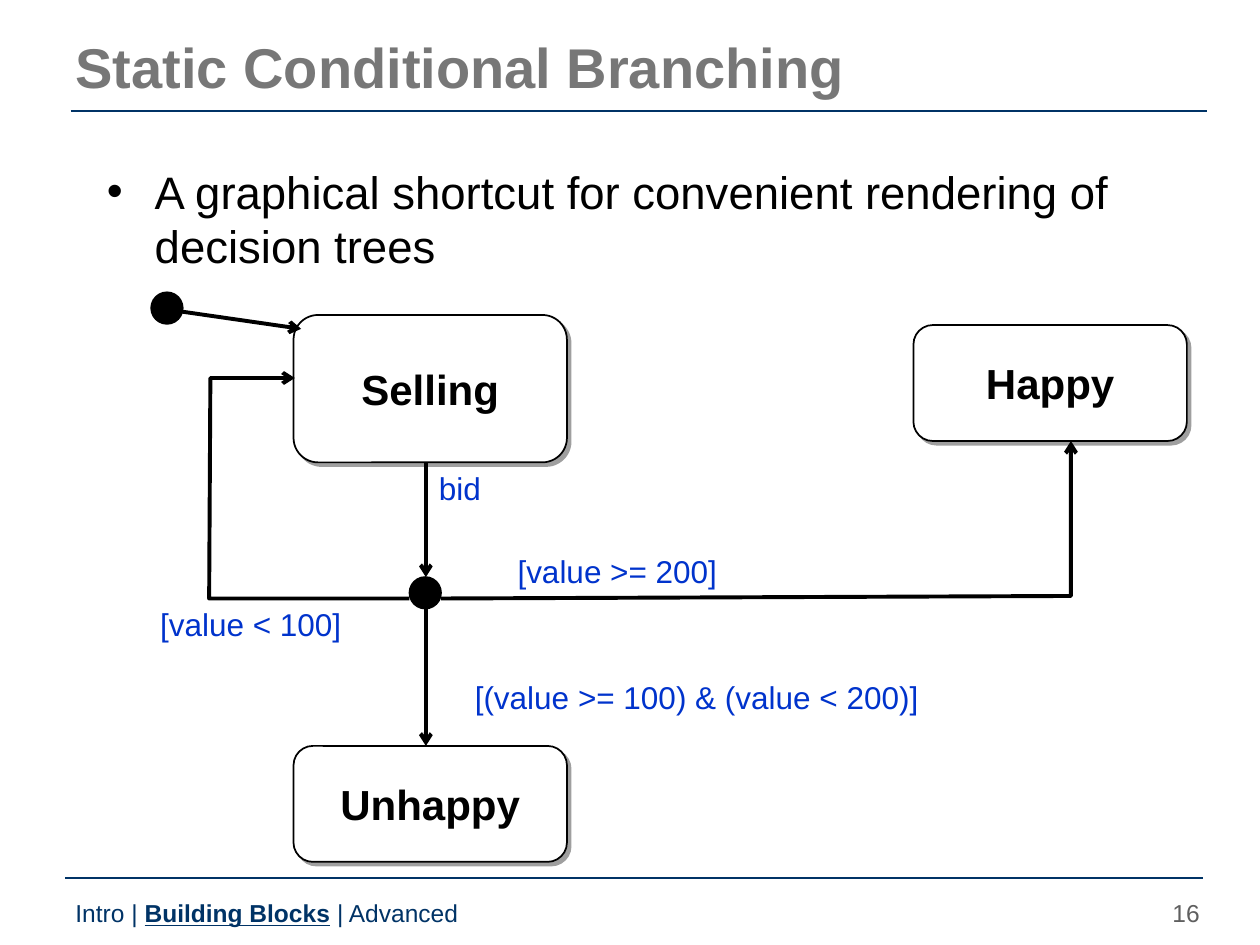
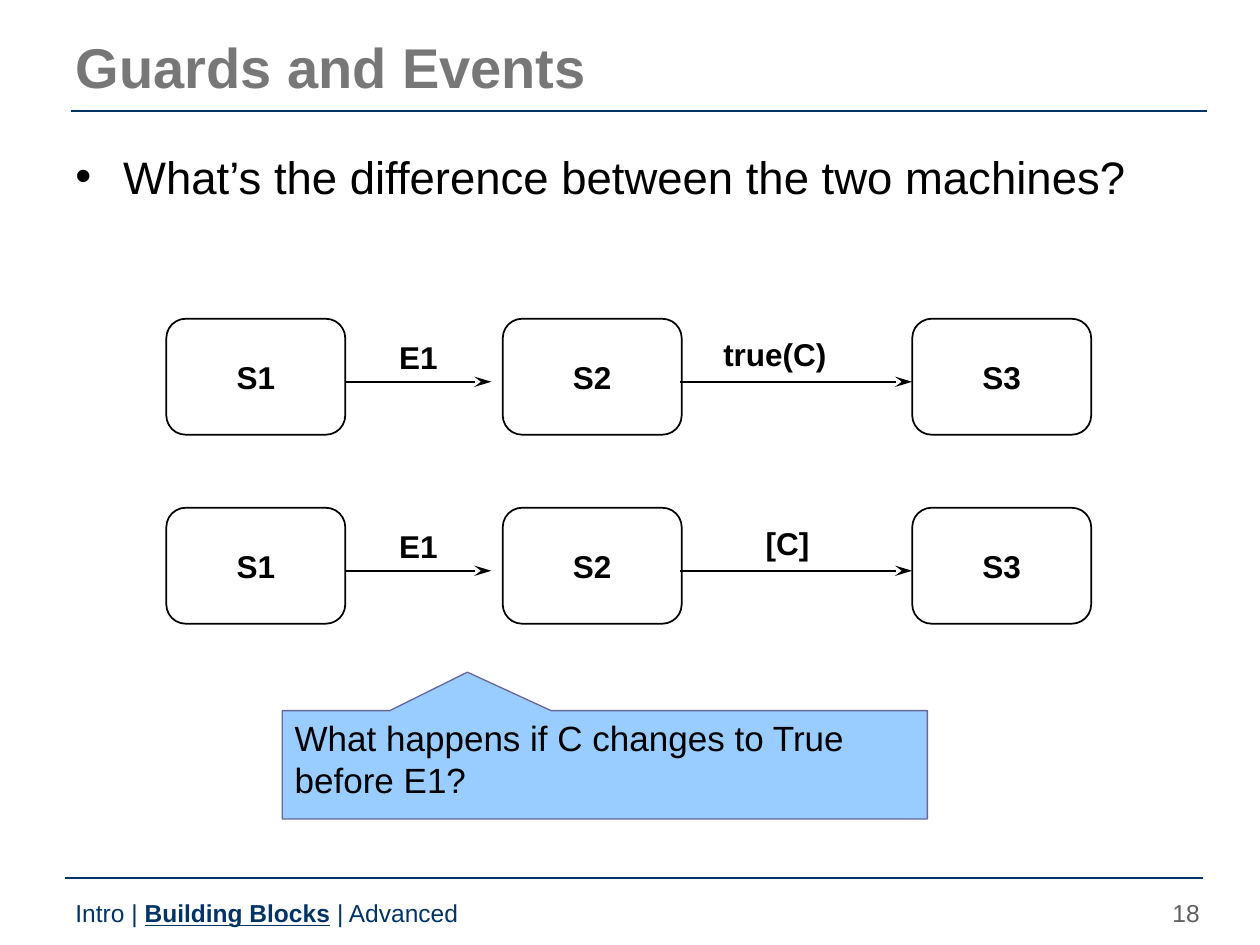
from lxml.etree import SubElement
from pptx import Presentation
from pptx.dml.color import RGBColor
from pptx.enum.shapes import MSO_CONNECTOR, MSO_SHAPE
from pptx.enum.text import MSO_ANCHOR, PP_ALIGN
from pptx.oxml.ns import qn
from pptx.util import Inches, Pt

FONT = "Arial"
COLORS = {
    "title": "777777", "navy": "003366", "number": "5F5F5F", "black": "000000",
    "white": "FFFFFF", "guard": "0033CC", "shadow": "808080",
    "callout": "99CCFF", "callout_line": "666699",
}
ARROWHEADS = {
    "open": {"type": "arrow"},
    "stealth": {"type": "stealth", "w": "med", "len": "lg"},
}

RULES = [((0.56, 0.88), (9.58, 0.88)), ((0.52, 6.97), (9.55, 6.97))]
FOOTER = [("Intro | ", False), ("Building Blocks", True), (" | Advanced", False)]

BRANCHING = {
    "title": "Static Conditional Branching",
    "number": "16",
    "bullet": "A graphical shortcut for convenient rendering of decision trees",
    "bullet_box": (0.75, 1.25, 8.5, 1.1),
    "states": [
        ("Selling", (2.33, 2.5, 2.17, 1.17)),
        ("Unhappy", (2.33, 5.92, 2.17, 0.92)),
        ("Happy", (7.25, 2.58, 2.17, 0.92)),
    ],
    "dots": [(1.2, 2.32), (3.25, 4.58)],
    "arrows": [
        ((1.42, 2.47), (2.39, 2.61)),
        ((3.38, 3.67), (3.38, 4.58)),
        ((3.38, 4.83), (3.38, 5.92)),
    ],
    "bent_arrows": [
        [(3.25, 4.75), (1.66, 4.75), (1.67, 3), (2.34, 3)],
        [(3.5, 4.75), (8.5, 4.73), (8.5, 3.5)],
    ],
    # text, horizontal centre, top, width
    "guards": [
        ("bid", 3.65, 3.67, 0.6),
        ("[value >= 200]", 4.9, 4.33, 1.8),
        ("[value < 100]", 1.99, 4.75, 1.7),
        ("[(value >= 100) & (value < 200)]", 5.53, 5.33, 3.8),
    ],
}

MACHINES = {
    "title": "Guards and Events",
    "number": "18",
    "bullet": "What’s the difference between the two machines?",
    "bullet_box": (0.5, 1.13, 9, 1),
    "states": [("S1", 1.32), ("S2", 3.99), ("S3", 7.24)],
    "state_size": (1.42, 0.92),
    "transitions": [(2.74, 3.9), (5.4, 7.24)],
    # machine top, then (label, horizontal centre, offset from the top, width)
    "rows": [
        (2.53, [("E1", 3.32, 0.1, 0.6), ("true(C)", 6.15, 0.08, 1.1)]),
        (4.03, [("E1", 3.32, 0.1, 0.6), ("[C]", 6.25, 0.08, 0.6)]),
    ],
    "callout": "What happens if C changes to True before E1?",
    "callout_box": (2.24, 5.64, 5.12, 0.86),
    "callout_tip": (-0.213, -0.855),
}


def color(name):
    return RGBColor.from_string(COLORS[name])


def inches(values):
    return [Inches(value) for value in values]


def add_run(paragraph, text, size, color_name, bold=False, underline=False):
    run = paragraph.add_run()
    run.text = text
    font = run.font
    font.name, font.size, font.bold, font.underline = FONT, Pt(size), bold, underline
    font.color.rgb = color(color_name)


def set_line(line, color_name, width, arrowhead=None):
    line.color.rgb = color(color_name)
    line.width = Pt(width)
    if arrowhead:
        SubElement(line._get_or_add_ln(), qn("a:tailEnd"), ARROWHEADS[arrowhead])


def add_text_box(shapes, box, align=PP_ALIGN.LEFT, wrap=True):
    """Add an empty text box and return its first paragraph."""
    frame = shapes.add_textbox(*inches(box)).text_frame
    frame.word_wrap = wrap
    frame.paragraphs[0].alignment = align
    return frame.paragraphs[0]


def add_label(shapes, text, center, top, width, color_name, bold=False):
    paragraph = add_text_box(shapes, (center - width / 2, top, width, 0.4),
                             PP_ALIGN.CENTER, wrap=False)
    add_run(paragraph, text, 18, color_name, bold)


def add_line(shapes, start, end, color_name="black", width=1, arrowhead=None):
    connector = shapes.add_connector(MSO_CONNECTOR.STRAIGHT, *inches(start + end))
    set_line(connector.line, color_name, width, arrowhead)
    SubElement(connector._element.spPr, qn("a:effectLst"))


def add_bent_arrow(shapes, points):
    start, *corners = [inches(point) for point in points]
    builder = shapes.build_freeform(*start)
    builder.add_line_segments(corners, close=False)
    shape = builder.convert_to_shape()
    shape.shadow.inherit = False
    shape.fill.background()
    set_line(shape.line, "black", 2.25, "open")


def add_filled_shape(shapes, kind, box, fill, line="black", width=1):
    shape = shapes.add_shape(kind, *inches(box))
    shape.shadow.inherit = False
    if fill:
        shape.fill.solid()
        shape.fill.fore_color.rgb = color(fill)
    else:
        shape.fill.background()
    set_line(shape.line, line, width)
    return shape


def add_state(shapes, name, box, size, fill=None):
    shape = add_filled_shape(shapes, MSO_SHAPE.ROUNDED_RECTANGLE, box, fill)
    frame = shape.text_frame
    frame.word_wrap = False
    frame.vertical_anchor = MSO_ANCHOR.MIDDLE
    frame.paragraphs[0].alignment = PP_ALIGN.CENTER
    add_run(frame.paragraphs[0], name, size, "black", bold=True)
    return shape


def add_drop_shadow(shape):
    effects = shape._element.spPr.find(qn("a:effectLst"))
    shadow = SubElement(effects, qn("a:outerShdw"), dist=str(Pt(3)),
                        dir=str(45 * 60000), algn="ctr", rotWithShape="0")
    shade = SubElement(shadow, qn("a:srgbClr"), val=COLORS["shadow"])
    SubElement(shade, qn("a:alpha"), val="75000")


def add_bullet(shapes, text, box):
    paragraph = add_text_box(shapes, box)
    paragraph.space_before = Pt(6.5)
    properties = paragraph._p.get_or_add_pPr()
    indent = Inches(0.38)
    properties.set("marL", str(indent))
    properties.set("indent", str(-indent))
    bullet_color = SubElement(properties, qn("a:buClr"))
    SubElement(bullet_color, qn("a:srgbClr"), val=COLORS["black"])
    SubElement(properties, qn("a:buFont"), typeface=FONT)
    SubElement(properties, qn("a:buChar"), char="•")
    add_run(paragraph, text, 26, "black")


def add_base_slide(presentation, content):
    """Add a slide with the title, rules, bullet and footer that all share."""
    slide = presentation.slides.add_slide(presentation.slide_layouts[5])
    shapes = slide.shapes
    title = shapes.title
    title.left, title.top, title.width, title.height = inches((0.5, 0.19, 9, 0.67))
    title.text_frame.vertical_anchor = MSO_ANCHOR.MIDDLE
    paragraph = title.text_frame.paragraphs[0]
    paragraph.alignment = PP_ALIGN.LEFT
    add_run(paragraph, content["title"], 32, "title", bold=True)
    for start, end in RULES:
        add_line(shapes, start, end, "navy")
    add_bullet(shapes, content["bullet"], content["bullet_box"])
    footer = add_text_box(shapes, (0.5, 7.08, 6.42, 0.25))
    for text, current in FOOTER:
        add_run(footer, text, 14, "navy", bold=current, underline=current)
    number = add_text_box(shapes, (9.12, 7.08, 0.5, 0.25), PP_ALIGN.RIGHT)
    add_run(number, content["number"], 14, "number")
    return shapes


def build_branching(presentation):
    shapes = add_base_slide(presentation, BRANCHING)
    for name, box in BRANCHING["states"]:
        add_drop_shadow(add_state(shapes, name, box, 24, "white"))
    for position in BRANCHING["dots"]:
        add_filled_shape(shapes, MSO_SHAPE.OVAL, position + (0.25, 0.25), "black")
    for start, end in BRANCHING["arrows"]:
        add_line(shapes, start, end, width=2.25, arrowhead="open")
    for points in BRANCHING["bent_arrows"]:
        add_bent_arrow(shapes, points)
    for text, center, top, width in BRANCHING["guards"]:
        add_label(shapes, text, center, top, width, "guard")


def build_machines(presentation):
    shapes = add_base_slide(presentation, MACHINES)
    for top, labels in MACHINES["rows"]:
        machine = shapes.add_group_shape().shapes
        for name, left in MACHINES["states"]:
            add_state(machine, name, (left, top) + MACHINES["state_size"], 18)
        for start, end in MACHINES["transitions"]:
            add_line(machine, (start, top + 0.5), (end, top + 0.5), arrowhead="stealth")
        for text, center, offset, width in labels:
            add_label(machine, text, center, top + offset, width, "black", bold=True)
    callout = add_filled_shape(shapes, MSO_SHAPE.RECTANGULAR_CALLOUT,
                               MACHINES["callout_box"], "callout", "callout_line", 0.75)
    for index, value in enumerate(MACHINES["callout_tip"]):
        callout.adjustments[index] = value
    frame = callout.text_frame
    frame.word_wrap = True
    frame.vertical_anchor = MSO_ANCHOR.TOP
    frame.paragraphs[0].alignment = PP_ALIGN.LEFT
    add_run(frame.paragraphs[0], MACHINES["callout"], 20, "black")


def main():
    presentation = Presentation()
    presentation.slide_width, presentation.slide_height = inches((10, 7.5))
    build_branching(presentation)
    build_machines(presentation)
    presentation.save("out.pptx")


if __name__ == "__main__":
    main()
